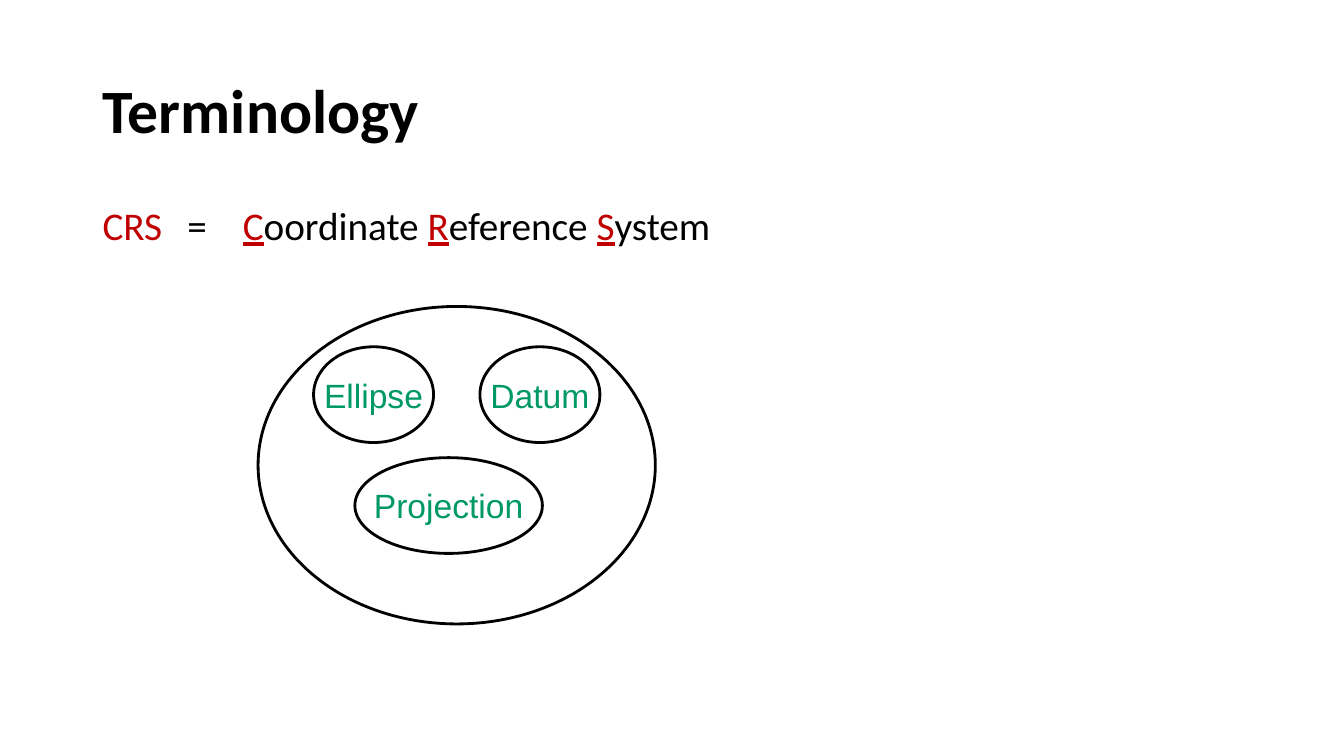
"""Build the Terminology slide that explains a coordinate reference system."""
from dataclasses import dataclass

from lxml import etree
from pptx import Presentation
from pptx.dml.color import RGBColor
from pptx.enum import shapes, text
from pptx.oxml import ns
from pptx.slide import Slide
from pptx.util import Inches, Pt


@dataclass(frozen=True)
class Theme:
    ink: RGBColor = RGBColor(0x00, 0x00, 0x00)
    accent: RGBColor = RGBColor(0xC0, 0x00, 0x00)
    label: RGBColor = RGBColor(0x00, 0x99, 0x66)
    heading_font: str = "Calibri"
    label_font: str = "Arial"
    title_size: int = 44
    body_size: int = 28
    label_size: int = 24
    outline: int = 2


@dataclass(frozen=True)
class Oval:
    left: float
    top: float
    width: float
    height: float
    label: str = ""


THEME = Theme()
PART_HEIGHT = 0.95
EYE_WIDTH = 1.19
EYE_TOP = 3.44
OVALS = [
    Oval(2.56, 3.04, 3.94, 3.15),
    Oval(3.11, EYE_TOP, EYE_WIDTH, PART_HEIGHT, "Ellipse"),
    Oval(4.76, EYE_TOP, EYE_WIDTH, PART_HEIGHT, "Datum"),
    Oval(3.52, 4.54, 1.86, PART_HEIGHT, "Projection"),
]
EXPANSION = ["Coordinate ", "Reference ", "System"]
EXPANSION_TABS = [0.84, 1.39]


def add_title(slide: Slide, wording: str) -> None:
    title = slide.shapes.title
    title.left, title.top = Inches(0.92), Inches(0.4)
    title.width, title.height = Inches(11.5), Inches(1.45)
    title.text_frame.text = wording
    title.text_frame.vertical_anchor = text.MSO_ANCHOR.MIDDLE
    heading = title.text_frame.paragraphs[0]
    heading.alignment = text.PP_ALIGN.LEFT
    heading.line_spacing = 0.9
    heading.font.name = THEME.heading_font
    heading.font.size = Pt(THEME.title_size)
    heading.font.bold = True
    heading.font.color.rgb = THEME.ink


def add_tab_stops(paragraph, stops: list[float]) -> None:
    tab_list = etree.SubElement(paragraph._p.get_or_add_pPr(), ns.qn("a:tabLst"))
    for stop in stops:
        etree.SubElement(tab_list, ns.qn("a:tab"), pos=str(Inches(stop)), algn="l")


def add_expansion(slide: Slide) -> None:
    expansion = slide.shapes.add_textbox(Inches(0.92), Inches(2), Inches(11.5), Inches(0.68))
    expansion.text_frame.word_wrap = True
    line = expansion.text_frame.paragraphs[0]
    line.line_spacing = 0.9
    line.space_before = Pt(10)
    add_tab_stops(line, EXPANSION_TABS)
    line.font.name = THEME.heading_font
    line.font.size = Pt(THEME.body_size)

    def add_run(wording: str, color: RGBColor, underline: bool = False) -> None:
        run = line.add_run()
        run.text = wording
        run.font.color.rgb = color
        run.font.underline = underline

    add_run("CRS", THEME.accent)
    add_run("\t=\t", THEME.ink)
    for word in EXPANSION:
        add_run(word[0], THEME.accent, underline=True)
        add_run(word[1:], THEME.ink)


def add_oval(slide: Slide, oval: Oval) -> None:
    ellipse = slide.shapes.add_shape(
        shapes.MSO_SHAPE.OVAL,
        Inches(oval.left), Inches(oval.top), Inches(oval.width), Inches(oval.height),
    )
    ellipse.shadow.inherit = False
    ellipse.fill.background()
    ellipse.line.color.rgb = THEME.ink
    ellipse.line.width = Pt(THEME.outline)
    if oval.label:
        frame = ellipse.text_frame
        frame.text = oval.label
        frame.word_wrap = False
        frame.vertical_anchor = text.MSO_ANCHOR.MIDDLE
        caption = frame.paragraphs[0]
        caption.alignment = text.PP_ALIGN.CENTER
        caption.font.name = THEME.label_font
        caption.font.size = Pt(THEME.label_size)
        caption.font.color.rgb = THEME.label


def main() -> None:
    deck = Presentation()
    deck.slide_width, deck.slide_height = Inches(13.33), Inches(7.5)
    slide = deck.slides.add_slide(deck.slide_layouts.get_by_name("Title Only"))
    add_title(slide, "Terminology")
    add_expansion(slide)
    for oval in OVALS:
        add_oval(slide, oval)
    deck.save("out.pptx")


if __name__ == "__main__":
    main()
